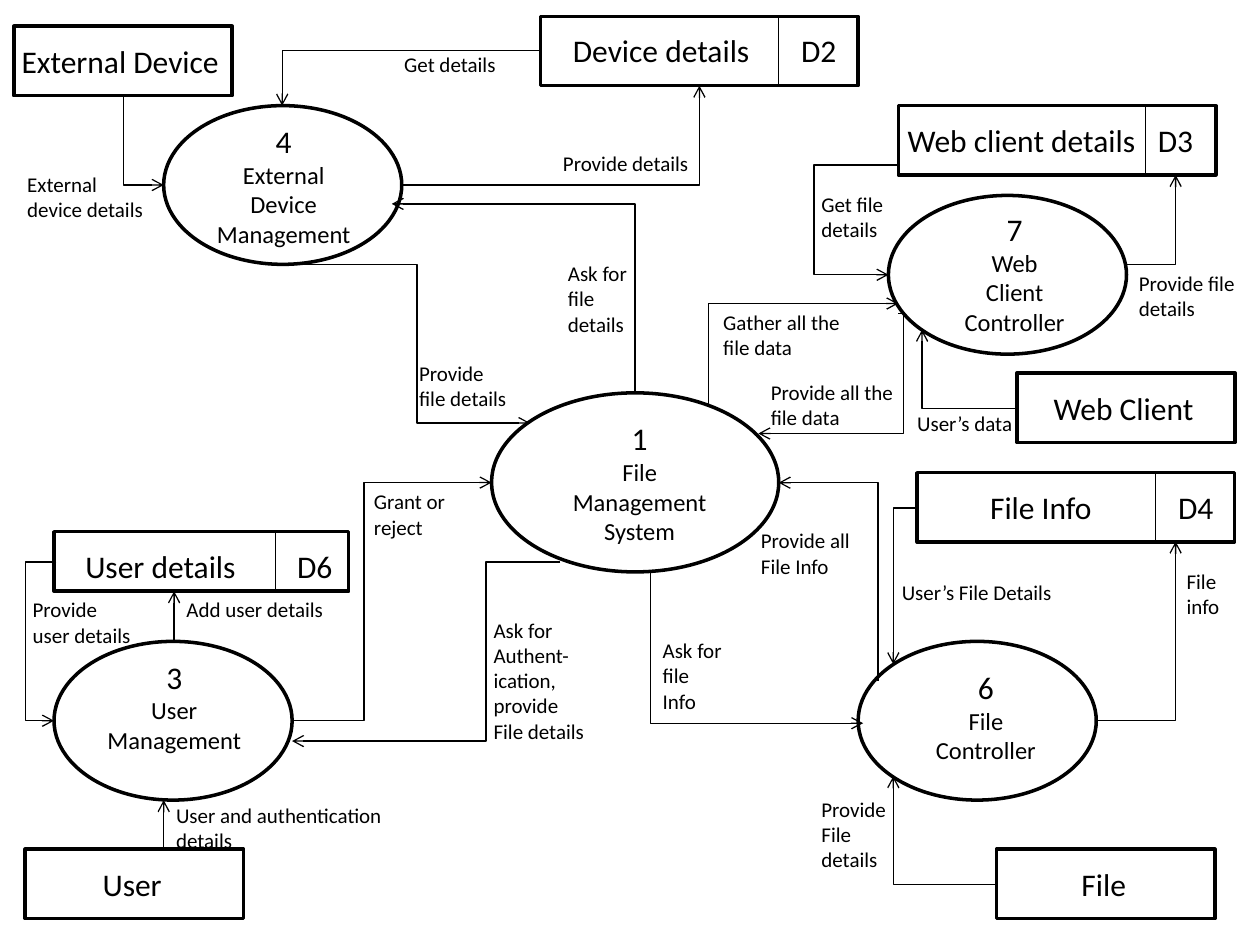
from dataclasses import dataclass

from lxml.etree import SubElement
from pptx import Presentation
from pptx.dml.color import RGBColor
from pptx.enum.shapes import MSO_CONNECTOR, MSO_SHAPE
from pptx.enum.text import MSO_AUTO_SIZE, PP_ALIGN
from pptx.oxml.ns import qn
from pptx.util import Cm, Pt


@dataclass(frozen=True)
class Theme:
    font: str = "Calibri"
    ink: RGBColor = RGBColor(0, 0, 0)
    heading: int = 18
    process: int = 14
    label: int = 12
    outline: float = 2
    thin: float = 0.75


# Lengths are centimetres.
BOX_HEIGHT = 1.4
ENTITY_WIDTH = 4.4
STORE_SIZE = (6.4, BOX_HEIGHT)
PROCESS_SIZE = (4.8, 3.2)

# number, name lines, oval position, oval size, text position, text width
PROCESSES = [
    ("1", "File\nManagement\nSystem", (9.91, 7.92), (5.79, 3.61), (11.28, 8.33), 3.23),
    ("3", "User\nManagement", (1.09, 12.93), PROCESS_SIZE, (1.9, 13.13), 3.23),
    ("6", "File\nController", (17.3, 12.93), PROCESS_SIZE, (18.59, 13.34), 2.57),
    ("7", "Web\nClient\nController", (17.91, 3.94), PROCESS_SIZE, (19.02, 4.11), 2.87),
    ("4", "External\nDevice\nManagement", (3.3, 2.13), PROCESS_SIZE, (3.89, 2.34), 3.66),
]

# name, box position, text left, text width
ENTITIES = [
    ("User", (0.51, 17.12), 1.8, 1.73),
    ("File", (20.09, 17.12), 21.54, 1.42),
    ("Web Client", (20.5, 7.52), 20.96, 3.38),
    ("External Device", (0.28, 0.53), 0.15, 4.55),
]

# name, code, box position, box size, divider x, (name left, width), (code left, width)
STORES = [
    ("Device details", "D2", (10.9, 0.33), STORE_SIZE, 15.7, (11.3, 4.11), (15.9, 1.24)),
    ("Web client details", "D3", (18.11, 2.13), STORE_SIZE, 23.09, (18.05, 5.65), (23.09, 1.24)),
    ("File Info", "D4", (18.49, 9.53), STORE_SIZE, 23.29, (19.71, 2.59), (23.5, 1.24)),
    ("User details", "D6", (1.09, 10.72), (5.94, 1.2), 5.56, (1.47, 5.05), (5.74, 1.75)),
]

# start, end, first direction (h or v), coordinates of the inner turns
BENT_FLOWS = [
    ((20.09, 17.83), (18.01, 15.65), "h", ()),
    ((22.1, 14.53), (23.7, 10.92), "h", ()),
    ((18.49, 10.24), (18.01, 13.39), "h", ()),
    ((22.71, 5.33), (23.7, 3.53), "h", ()),
    ((18.11, 2.72), (17.91, 5.54), "v", (3.33, 16.41)),
    ((20.5, 8.23), (18.59, 6.65), "h", ()),
    ((2.49, 1.93), (3.3, 3.73), "v", ()),
    ((10.9, 1.02), (5.69, 2.13), "h", ()),
    ((8.1, 3.73), (14.1, 1.73), "h", ()),
    ((1.14, 11.33), (1.09, 14.53), "h", (0.51,)),
    ((13.11, 11.53), (17.4, 14.58), "v", ()),
    ((11.3, 11.33), (5.89, 14.94), "h", (9.8,)),
    ((5.89, 14.53), (9.91, 9.73), "h", (7.34,)),
    ((17.7, 13.72), (15.7, 9.73), "v", ()),
    ((18.11, 6.32), (15.29, 8.74), "h", (18.22,)),
    ((14.3, 8.13), (18.11, 6.12), "h", (14.28,)),
    ((6.1, 5.33), (10.69, 8.53), "h", (8.41,)),
    ((12.8, 7.92), (7.9, 4.11), "v", ()),
]
STRAIGHT_FLOWS = [((3.3, 17.12), (3.3, 16.13)), ((3.51, 12.93), (3.51, 11.92))]

# text, position, width
LABELS = [
    ("External\ndevice details", (0.3, 3.33), 2.87),
    ("Provide details", (11.1, 2.92), 3.07),
    ("Get details", (7.9, 0.91), 2.39),
    ("User and authentication\ndetails", (3.3, 16.05), 4.8),
    ("Provide\nuser details", (0.41, 11.91), 2.51),
    ("Add user details", (3.51, 11.91), 3.3),
    ("Grant or\nreject", (7.29, 9.73), 2.06),
    ("Ask for\nAuthent-\nication,\nprovide\nFile details", (9.7, 12.32), 2.36),
    ("Gather all the\nfile data", (14.33, 6.12), 3),
    ("Provide all the\nfile data", (15.29, 7.52), 3.2),
    ("User’s data", (18.24, 8.15), 2.46),
    ("Provide\nFile\ndetails", (16.31, 15.93), 1.93),
    ("Provide all\nFile Info", (15.09, 10.52), 2.41),
    ("Ask for\nfile\nInfo", (13.11, 12.73), 1.83),
    ("Ask for\nfile\ndetails", (11.2, 5.13), 1.73),
    ("Provide\nfile details", (8.2, 7.14), 2.29),
    ("Provide file\ndetails", (22.71, 5.33), 2.46),
    ("Get file\ndetails", (16.31, 3.73), 1.78),
    ("File\ninfo", (23.67, 11.33), 1.22),
    ("User’s File Details", (17.93, 11.56), 3.58),
]


class FlowDiagram:
    def __init__(self, slide, theme):
        self.slide = slide
        self.theme = theme

    def text(self, lines, position, width, align=PP_ALIGN.LEFT):
        """Add one paragraph for each (words, size) pair; the height follows the lines."""
        height = 0.25 + sum(size * 1.2 * 2.54 / 72 for _, size in lines)
        box = self.slide.shapes.add_textbox(*map(Cm, (*position, width, height)))
        frame = box.text_frame
        frame.word_wrap = False
        frame.auto_size = MSO_AUTO_SIZE.SHAPE_TO_FIT_TEXT
        frame.text = "\n".join(words for words, _ in lines)
        for paragraph, (_, size) in zip(frame.paragraphs, lines):
            paragraph.alignment = align
            paragraph.font.name = self.theme.font
            paragraph.font.size = Pt(size)
            paragraph.font.color.rgb = self.theme.ink

    def outline(self, preset, position, size):
        shape = self.slide.shapes.add_shape(preset, *map(Cm, (*position, *size)))
        shape.shadow.inherit = False
        shape.fill.background()
        shape.line.color.rgb = self.theme.ink
        shape.line.width = Pt(self.theme.outline)

    def line(self, start, end, kind=MSO_CONNECTOR.STRAIGHT, arrow=True):
        connector = self.slide.shapes.add_connector(kind, *map(Cm, (*start, *end)))
        connector.line.color.rgb = self.theme.ink
        connector.line.width = Pt(self.theme.thin)
        properties = connector._element.spPr
        if arrow:
            SubElement(properties.find(qn("a:ln")), qn("a:tailEnd"), type="arrow")
        SubElement(properties, qn("a:effectLst"))
        return properties

    def bent_flow(self, start, end, first, turns):
        """Draw an elbow arrow; turns alternate between the first axis and the other."""
        (x0, y0), (x1, y1) = start, end
        dx, dy = x1 - x0, y1 - y0
        if first == "h":
            properties = self.line(start, end, MSO_CONNECTOR.ELBOW)
            axes = [(x0, dx), (y0, dy)]
        else:
            # A vertical start is a horizontal one turned a quarter about its centre.
            cx, cy = (x0 + x1) / 2, (y0 + y1) / 2
            properties = self.line((cx - dy / 2, cy + dx / 2),
                                   (cx + dy / 2, cy - dx / 2), MSO_CONNECTOR.ELBOW)
            properties.find(qn("a:xfrm")).set("rot", str(90 * 60000))
            axes = [(y0, dy), (x0, dx)]
        geometry = properties.find(qn("a:prstGeom"))
        geometry.set("prst", f"bentConnector{2 + len(turns)}")
        guides = geometry.find(qn("a:avLst"))
        for number, (turn, (origin, span)) in enumerate(zip(turns, axes), 1):
            ratio = round((turn - origin) / span * 100000)
            SubElement(guides, qn("a:gd"), name=f"adj{number}", fmla=f"val {ratio}")

    def process(self, number, name, position, size, text_position, text_width):
        lines = [(number, self.theme.heading)]
        lines += [(words, self.theme.process) for words in name.split("\n")]
        self.text(lines, text_position, text_width, PP_ALIGN.CENTER)
        self.outline(MSO_SHAPE.OVAL, position, size)

    def entity(self, name, position, text_left, text_width):
        self.outline(MSO_SHAPE.RECTANGLE, position, (ENTITY_WIDTH, BOX_HEIGHT))
        self.text([(name, self.theme.heading)], (text_left, position[1] + 0.2),
                  text_width, PP_ALIGN.CENTER)

    def store(self, name, code, position, size, divider, name_span, code_span):
        top = position[1]
        self.outline(MSO_SHAPE.RECTANGLE, position, size)
        self.line((divider, top), (divider, top + size[1]), arrow=False)
        for words, (left, width) in ((name, name_span), (code, code_span)):
            self.text([(words, self.theme.heading)], (left, top + 0.18), width)

    def label(self, words, position, width):
        lines = [(line, self.theme.label) for line in words.split("\n")]
        self.text(lines, position, width)


def main():
    deck = Presentation()
    deck.slide_width, deck.slide_height = Cm(25.4), Cm(19.05)
    blank = deck.slide_layouts[6]
    diagram = FlowDiagram(deck.slides.add_slide(blank), Theme())
    for draw, items in (
        (diagram.process, PROCESSES),
        (diagram.entity, ENTITIES),
        (diagram.store, STORES),
        (diagram.bent_flow, BENT_FLOWS),
        (diagram.line, STRAIGHT_FLOWS),
        (diagram.label, LABELS),
    ):
        for item in items:
            draw(*item)
    deck.save("out.pptx")


if __name__ == "__main__":
    main()
